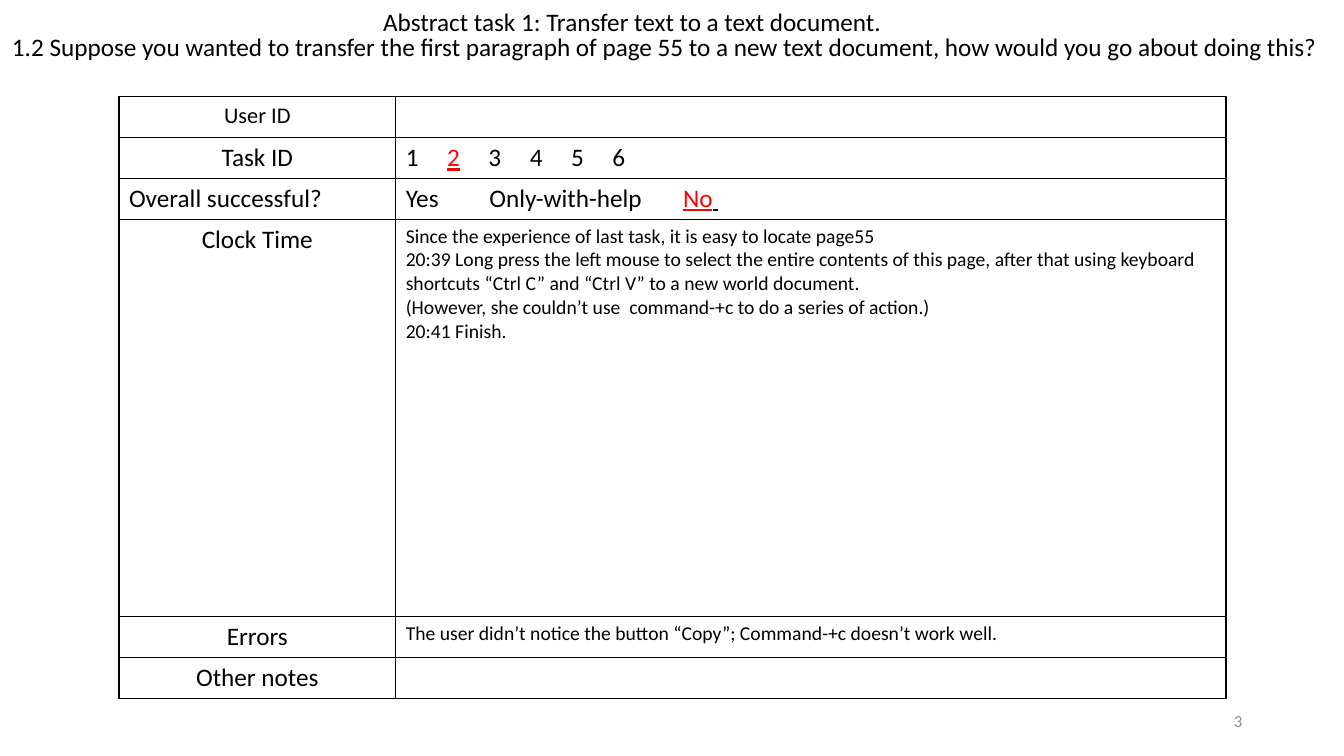
from lxml import etree
from pptx import Presentation
from pptx.dml.color import RGBColor
from pptx.enum.text import MSO_ANCHOR, PP_ALIGN
from pptx.oxml.ns import qn
from pptx.util import Inches, Pt

LEFT, CENTER, RIGHT = PP_ALIGN.LEFT, PP_ALIGN.CENTER, PP_ALIGN.RIGHT
TOP, MIDDLE = MSO_ANCHOR.TOP, MSO_ANCHOR.MIDDLE
FONT = "Calibri"
COLORS = {"text": "000000", "border": "000000", "chosen": "FF0000", "number": "8C8C8C"}
WIDTH, HEIGHT = 13.33, 7.5

TASK_STOPS = [0.41 * step for step in range(1, 6)]
SUCCESS_STOPS = [0.83, 2.75]
ROW_SHARES = [0.4, 0.4, 0.4, 3.93, 0.4, 0.4]
COLUMN_SHARES = [1, 3]

LABELS = [
    ("User ID", 16, CENTER),
    ("Task ID", 18, CENTER),
    ("Overall successful?", 18, LEFT),
    ("Clock Time", 18, CENTER),
    ("Errors", 18, CENTER),
    ("Other notes", 18, CENTER),
]
CLOCK_NOTES = [
    "Since the experience of last task, it is easy to locate page55",
    "20:39 Long press the left mouse to select the entire contents of this page, after that "
    "using keyboard shortcuts “Ctrl C” and “Ctrl V” to a new world document.",
    "(However, she couldn’t use \u00a0command-+c to do a series of action.)",
    "20:41 Finish.",
]
ERROR_NOTES = ["The user didn’t notice the button “Copy”; Command-+c doesn’t work well."]


def add_run(paragraph, text, size, color="text", underline=False):
    """Add one formatted run to a paragraph."""
    run = paragraph.add_run()
    run.text = text
    run.font.name = FONT
    run.font.size = Pt(size)
    run.font.underline = underline
    run.font.color.rgb = RGBColor.from_string(COLORS[color])


def add_line(slide, box, text, size=18, color="text", align=LEFT, anchor=TOP):
    """Place one line of text in a box."""
    shape = slide.shapes.add_textbox(*map(Inches, box))
    frame = shape.text_frame
    frame.word_wrap = True
    frame.vertical_anchor = anchor
    paragraph = frame.paragraphs[0]
    paragraph.alignment = align
    add_run(paragraph, text, size, color)


def set_tab_stops(paragraph, stops):
    """Give a paragraph left tab stops, in inches."""
    tab_list = etree.SubElement(paragraph._p.get_or_add_pPr(), qn("a:tabLst"))
    for stop in stops:
        etree.SubElement(tab_list, qn("a:tab"), pos=str(Inches(stop)), algn="l")


def frame_cell(cell):
    """Draw thin borders around an unfilled cell."""
    properties = cell._tc.get_or_add_tcPr()
    for side in ("lnL", "lnR", "lnT", "lnB"):
        line = etree.SubElement(properties, qn(f"a:{side}"), w=str(Pt(1)))
        fill = etree.SubElement(line, qn("a:solidFill"))
        etree.SubElement(fill, qn("a:srgbClr"), val=COLORS["border"])
    cell.fill.background()


def fill_choices(cell, runs, stops):
    """Write tab-separated options, with the chosen one marked."""
    paragraph = cell.text_frame.paragraphs[0]
    set_tab_stops(paragraph, stops)
    for text, color, underline in runs:
        add_run(paragraph, text, 18, color, underline)


def fill_notes(cell, notes):
    """Write one paragraph for each note."""
    frame = cell.text_frame
    for index, note in enumerate(notes):
        paragraph = frame.add_paragraph() if index else frame.paragraphs[0]
        add_run(paragraph, note, 14)


def add_record_table(slide, box):
    """Place the task record table in a box."""
    left, top, width, height = box
    table = slide.shapes.add_table(
        len(ROW_SHARES), len(COLUMN_SHARES), *map(Inches, box)).table
    table.first_row = table.horz_banding = False
    for column, share in zip(table.columns, COLUMN_SHARES):
        column.width = Inches(width * share / sum(COLUMN_SHARES))
    for row, share in zip(table.rows, ROW_SHARES):
        row.height = Inches(height * share / sum(ROW_SHARES))
    for cell in table.iter_cells():
        frame_cell(cell)
    for index, (label, size, align) in enumerate(LABELS):
        paragraph = table.cell(index, 0).text_frame.paragraphs[0]
        paragraph.alignment = align
        add_run(paragraph, label, size)
    fill_choices(table.cell(1, 1), [
        ("1\t", "text", False), ("2", "chosen", True),
        ("\t3\t4\t5\t6", "text", False)], TASK_STOPS)
    fill_choices(table.cell(2, 1), [
        ("Yes\tOnly-with-help\t", "text", False), ("No", "chosen", True),
        (" ", "text", True)], SUCCESS_STOPS)
    fill_notes(table.cell(3, 1), CLOCK_NOTES)
    fill_notes(table.cell(4, 1), ERROR_NOTES)


def add_heading(slide, box):
    """Place the task title and its question in a box."""
    left, top, width, height = box
    line_height = 0.4
    add_line(slide, (left, top + height - line_height, width, line_height),
             "1.2 Suppose you wanted to transfer the first paragraph of page 55 to a new "
             "text document, how would you go about doing this?")
    add_line(slide, (left + width * 0.277, top, width * 0.446, line_height),
             "Abstract task 1: Transfer text to a text document.")


def build_record_slide(presentation):
    """Build the slide that records one task."""
    slide = presentation.slides.add_slide(presentation.slide_layouts[6])
    add_record_table(slide, (1.18, 0.96, 10.98, 5.95))
    add_heading(slide, (0.02, 0.01, WIDTH - 0.04, 0.65))
    add_line(slide, (9.42, 6.95, 3, 0.4), "3", 12, "number", RIGHT, MIDDLE)


def main():
    """Create and save the presentation."""
    presentation = Presentation()
    presentation.slide_width = Inches(WIDTH)
    presentation.slide_height = Inches(HEIGHT)
    build_record_slide(presentation)
    presentation.save("out.pptx")


main()
